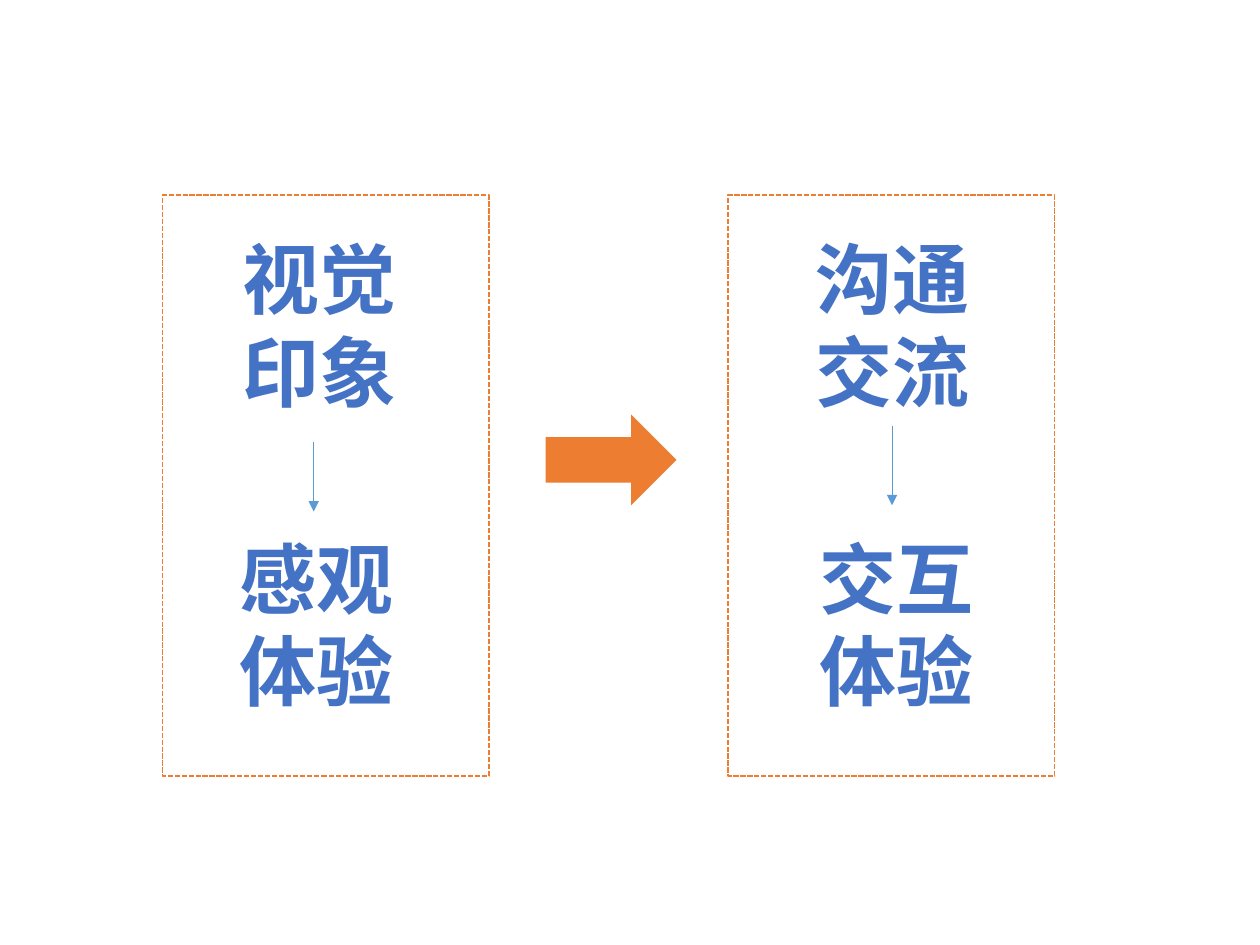
from lxml import etree
from pptx import Presentation
from pptx import util as u
from pptx.dml.color import RGBColor
from pptx.enum import dml, shapes, text
from pptx.oxml.ns import qn

HUES = {"text": "4472C4", "line": "5B9BD5", "accent": "ED7D31"}


class Deck:
    font = "DejaVu Sans"
    size = u.Pt(44)

    def __init__(self, wide, high):
        self.show = Presentation()
        self.show.slide_width = u.Inches(wide)
        self.show.slide_height = u.Inches(high)
        self.slide = self.show.slides.add_slide(self.show.slide_layouts[6])

    def hue(self, name):
        return RGBColor.from_string(HUES[name])

    def shape(self, kind, *box):
        item = self.slide.shapes.add_shape(kind, *map(u.Inches, box))
        item.shadow.inherit = False
        return item

    def label(self, words, *box):
        item = self.slide.shapes.add_textbox(*map(u.Inches, box))
        frame = item.text_frame
        frame.word_wrap = True
        frame.auto_size = text.MSO_AUTO_SIZE.SHAPE_TO_FIT_TEXT
        frame.text = words
        para = frame.paragraphs[0]
        para.alignment = text.PP_ALIGN.CENTER
        font = para.runs[0].font
        font.name, font.size, font.bold = self.font, self.size, True
        font.color.rgb = self.hue("text")

    def arrow(self, x, top, end):
        item = self.slide.shapes.add_connector(
            shapes.MSO_CONNECTOR.STRAIGHT, *map(u.Inches, (x, top, x, end)))
        item.line.color.rgb = self.hue("line")
        item.line.width = u.Pt(0.5)
        tip = etree.SubElement(item.line._get_or_add_ln(), qn("a:tailEnd"))
        tip.set("type", "triangle")
        etree.SubElement(item._element.spPr, qn("a:effectLst"))

    def frame(self, *box):
        item = self.shape(shapes.MSO_SHAPE.RECTANGLE, *box)
        item.fill.background()
        item.line.color.rgb = self.hue("accent")
        item.line.width = u.Pt(1)
        item.line.dash_style = dml.MSO_LINE.SQUARE_DOT

    def block(self, *box):
        item = self.shape(shapes.MSO_SHAPE.RIGHT_ARROW, *box)
        item.fill.solid()
        item.fill.fore_color.rgb = self.hue("accent")
        item.line.fill.background()


def main():
    deck = Deck(10, 7.5)
    panels = [
        (1.29, (1.67, "视觉印象"), (1.65, "感观体验"), (2.49, 3.51, 4.06)),
        (5.78, (6.22, "沟通交流"), (6.25, "交互体验"), (7.08, 3.38, 4.01)),
    ]
    for left, *labels, arrow in panels:
        for (x, words), top in zip(labels, (1.79, 4.17)):
            deck.label(words, x, top, 1.73, 1.58)
        deck.arrow(*arrow)
        deck.frame(left, 1.55, 2.59, 4.61)
    deck.block(4.33, 3.29, 1.04, 0.72)
    deck.show.save("out.pptx")


if __name__ == "__main__":
    main()
